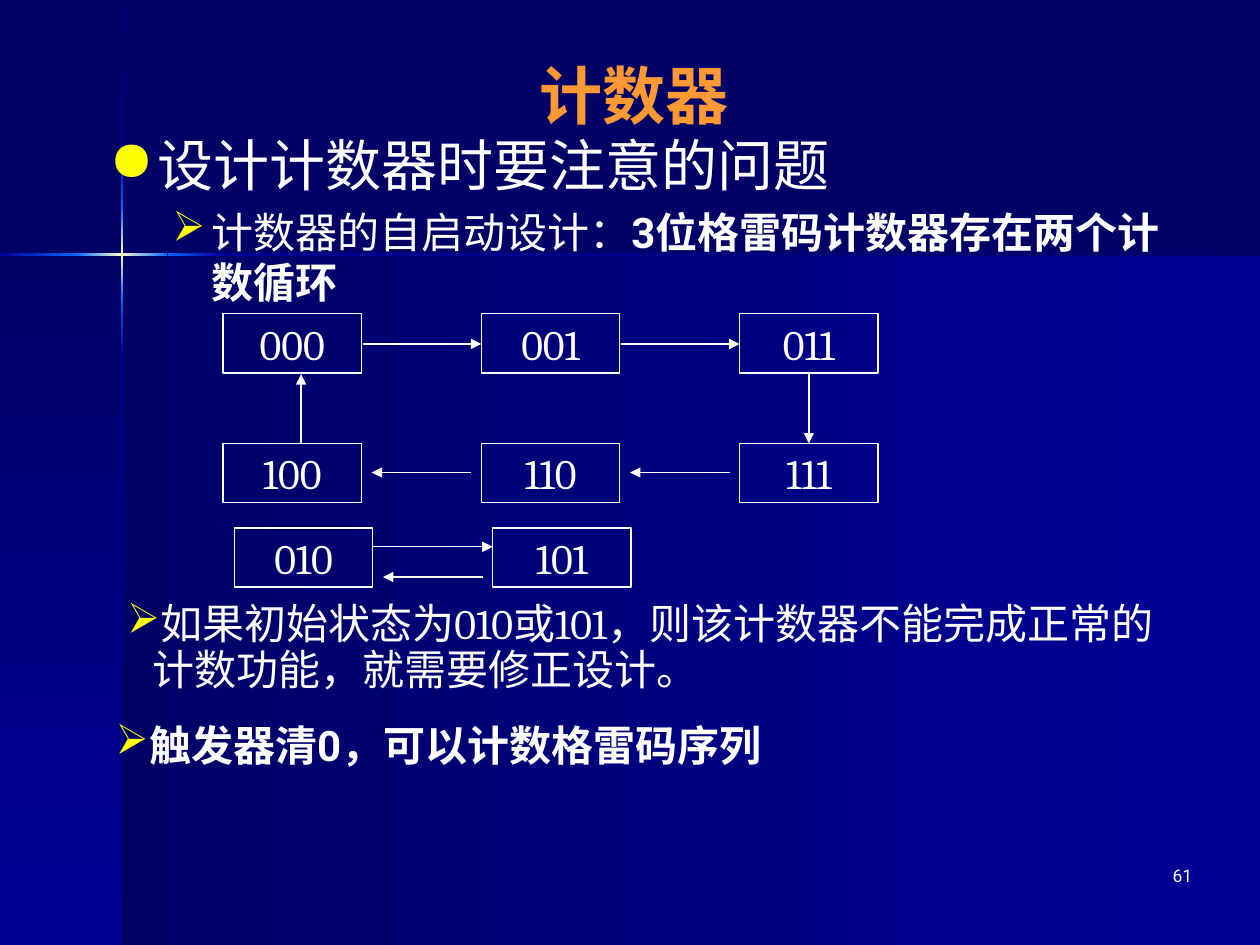
from dataclasses import dataclass
from lxml.etree import SubElement as Sub
from pptx import Presentation
from pptx.dml.color import RGBColor as Rgb
from pptx.enum.shapes import MSO_CONNECTOR as Wire, MSO_SHAPE as Kind
from pptx.enum.text import MSO_ANCHOR as Anchor, MSO_AUTO_SIZE as Fit, PP_ALIGN as Align
from pptx.oxml.ns import qn
from pptx.util import Inches, Pt


@dataclass(frozen=True)
class Theme:
    navy: str = "000066"
    blue: str = "000099"
    glow: str = "0066FF"
    cream: str = "FFFFCC"
    white: str = "FFFFFF"
    gold: str = "FFFF00"
    orange: str = "FF9933"
    sans: str = "Roboto"
    serif: str = "Cambria"
    title: int = 36
    head: int = 32
    body: int = 24
    note: int = 10
    line: float = 0.75


look = Theme()


def write(para, text, size, name, color=look.white, bold=False, **form):
    run = para.add_run()
    run.text = text
    for key, val in dict(size=Pt(size), name=name, bold=bold).items():
        setattr(run.font, key, val)
    run.font.color.rgb = Rgb.from_string(color)
    for key, val in form.items():
        setattr(para, key, val)


def mark(para, char, left, hang):
    props = para._p.get_or_add_pPr()
    props.set("marL", str(Inches(left)))
    props.set("indent", str(Inches(-hang)))
    tint = Sub(props, qn("a:buClr"))
    Sub(tint, qn("a:srgbClr"), val=look.gold)
    Sub(props, qn("a:buChar"), char=char)


deck = Presentation()
deck.slide_width, deck.slide_height = Inches(10), Inches(7.5)
slide = deck.slides.add_slide(deck.slide_layouts[5])
slide.background.fill.solid()
slide.background.fill.fore_color.rgb = Rgb.from_string(look.navy)
shapes = slide.shapes

dark = (look.navy, look.blue)
fade = (look.blue, look.navy)
rise = (look.blue, look.glow)
fall = (look.glow, look.blue)
star = (look.glow, look.cream, look.glow)
bands = [
    (0.97, 2.02, 9.03, 5.48, dark, 0),
    (0, 2.02, 0.97, 5.48, dark, 90),
    (0.96, 0.01, 0.02, 1.2, dark, 90),
    (0.96, 2.82, 0.02, 4.68, fade, 90),
    (1.77, 2.01, 8.23, 0.02, fade, 0),
    (0.96, 2.38, 0.02, 0.44, fall, 90),
    (0.96, 1.21, 0.02, 0.44, rise, 90),
    (0.96, 1.65, 0.02, 0.73, star, 90),
    (0, 2.01, 0.61, 0.02, rise, 0),
    (1.33, 2.01, 0.44, 0.02, fall, 0),
    (0.6, 2.01, 0.73, 0.02, star, 0),
]
for *area, tones, angle in bands:
    band = shapes.add_shape(Kind.RECTANGLE, *map(Inches, area))
    band.shadow.inherit = False
    band.line.fill.background()
    band.fill.gradient()
    band.fill.gradient_angle = -angle % 360
    stops = band._element.spPr.find(".//" + qn("a:gsLst"))
    stops.clear()
    for step, tone in enumerate(tones):
        stop = Sub(stops, qn("a:gs"), pos=str(step * 100000 // (len(tones) - 1)))
        Sub(stop, qn("a:srgbClr"), val=tone)

title = shapes.title
for key, val in dict(left=0.5, top=0.33, width=9.17, height=0.83).items():
    setattr(title, key, Inches(val))
for key, val in dict(vertical_anchor=Anchor.MIDDLE, auto_size=Fit.NONE).items():
    setattr(title.text_frame, key, val)
write(title.text_frame.paragraphs[0], "计数器 ", look.title, look.sans,
      look.orange, True, alignment=Align.CENTER)
shapes._spTree.append(title._element)

frame = shapes.add_textbox(*map(Inches, (0.77, 0.99, 8.67, 5.08))).text_frame
frame.word_wrap = True
para = frame.paragraphs[0]
mark(para, "●", 0.38, 0.38)
write(para, "设计计数器时要注意的问题", look.head, look.sans)
para = frame.add_paragraph()
mark(para, "➢", 0.81, 0.31)
write(para, "计数器的自启动设计：", look.body, look.sans, level=1, space_before=Pt(4.8))
write(para, "3位格雷码计数器存在两个计数循环", look.body, look.sans, bold=True)

frame = shapes.add_textbox(*map(Inches, (7.48, 6.82, 2.08, 0.5))).text_frame
frame.word_wrap = True
write(frame.paragraphs[0], "61", look.note, look.sans, alignment=Align.RIGHT)

rows = [
    (1.77, 2.49, ("000", "001", "011")),
    (1.77, 3.52, ("100", "110", "111")),
    (1.86, 4.19, ("010", "101")),
]
for left, top, codes in rows:
    for col, code in enumerate(codes):
        area = (left + 2.05 * col, top, 1.1, 0.47)
        state = shapes.add_shape(Kind.RECTANGLE, *map(Inches, area))
        state.shadow.inherit = False
        state.fill.background()
        state.line.color.rgb = Rgb.from_string(look.white)
        state.line.width = Pt(look.line)
        frame = state.text_frame
        for key, val in dict(word_wrap=False, vertical_anchor=Anchor.MIDDLE).items():
            setattr(frame, key, val)
        write(frame.paragraphs[0], code, look.body, look.serif, alignment=Align.CENTER)

arrows = [
    (2.39, 3.52, 2.39, 2.97),
    (2.88, 2.73, 3.82, 2.73),
    (4.93, 2.73, 5.87, 2.73),
    (6.42, 2.97, 6.42, 3.52),
    (5.79, 3.75, 5, 3.75),
    (3.74, 3.75, 2.95, 3.75),
    (2.96, 4.34, 3.91, 4.34),
    (3.83, 4.58, 3.04, 4.58),
]
for ends in arrows:
    arrow = shapes.add_connector(Wire.STRAIGHT, *map(Inches, ends))
    arrow.line.color.rgb = Rgb.from_string(look.white)
    arrow.line.width = Pt(look.line)
    Sub(arrow.line._get_or_add_ln(), qn("a:tailEnd"), type="triangle")
    Sub(arrow._element.spPr, qn("a:effectLst"))

notes = [
    ((0.61, 4.74, 8.92, 0.82), True, look.serif, False, 0.9,
     "如果初始状态为010或101，则该计数器不能完成正常的计数功能，就需要修正设计。"),
    ((0.52, 5.66, 5.87, 0.5), False, look.sans, True, 1.0,
     "触发器清0，可以计数格雷码序列"),
]
for area, wrap, name, bold, pitch, text in notes:
    frame = shapes.add_textbox(*map(Inches, area)).text_frame
    for key, val in dict(word_wrap=wrap, auto_size=Fit.SHAPE_TO_FIT_TEXT).items():
        setattr(frame, key, val)
    para = frame.paragraphs[0]
    mark(para, "➢", 0.5, 0.2)
    write(para, text, look.body, name, bold=bold, level=1, line_spacing=pitch)

deck.save("out.pptx")
